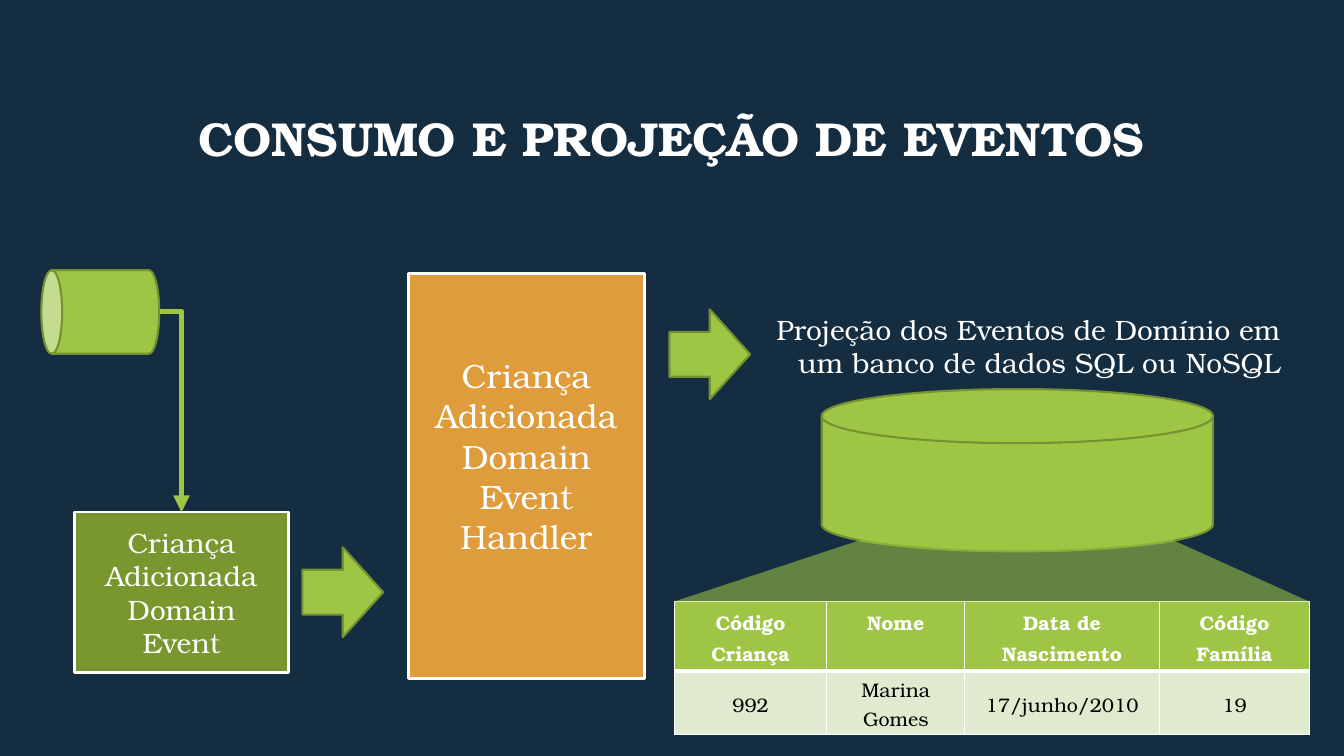
import dataclasses

import pptx
import pptx.dml.color
import pptx.enum.dml
import pptx.enum.shapes
import pptx.enum.text
import pptx.oxml
import pptx.oxml.ns
import pptx.util

PX = 9144
FONT = "TeX Gyre Bonum"
NAVY, WHITE, BLACK = "152D40", "FFFFFF", "000000"
LIME, OLIVE, MOSS, ORANGE, PALE = "9EC544", "759232", "78982F", "DE9C3C", "DFEACF"
SHAPE = pptx.enum.shapes.MSO_SHAPE
ALIGN = pptx.enum.text.PP_ALIGN
ANCHOR = pptx.enum.text.MSO_ANCHOR


@dataclasses.dataclass
class Block:
    kind: int
    left: int
    top: int
    width: int
    height: int
    fill: str = LIME
    line: str = OLIVE
    weight: float = 1.5
    rotation: int = 0
    text: str = ""
    size: int = 20
    bottom_inset: int = 5


@dataclasses.dataclass
class Row:
    cells: tuple[str, ...]
    height: int
    fill: str
    color: str
    bold: bool
    anchor: int
    top_border: int
    bottom_border: int


BLOCKS = (
    Block(SHAPE.RECTANGLE, 74, 508, 212, 159, MOSS, WHITE, 2,
          text="Criança\nAdicionada\vDomain\nEvent"),
    Block(SHAPE.RIGHT_ARROW, 300, 543, 80, 89),
    Block(SHAPE.RIGHT_ARROW, 664, 307, 80, 89),
    Block(SHAPE.CAN, 58, 251, 83, 117, rotation=270),
    Block(SHAPE.RECTANGLE, 405, 271, 234, 402, ORANGE, WHITE, 2,
          text="Criança\vAdicionada\nDomain\vEvent\nHandler", size=24, bottom_inset=45),
    Block(SHAPE.FLOWCHART_MAGNETIC_DISK, 815, 386, 388, 161),
)
COLUMNS = (151, 137, 193, 149)
ROWS = (
    Row(("Código Criança", "Nome", "Data de Nascimento", "Código Família"),
        64, LIME, WHITE, True, ANCHOR.TOP, 1, 3),
    Row(("992", "Marina Gomes", "17/junho/2010", "19"),
        58, PALE, BLACK, False, ANCHOR.MIDDLE, 3, 1),
)


def px(*values: int) -> list[pptx.util.Emu]:
    return [pptx.util.Emu(v * PX) for v in values]


def rgb(color: str) -> pptx.dml.color.RGBColor:
    return pptx.dml.color.RGBColor.from_string(color)


def paint(fill, color: str) -> None:
    fill.solid()
    fill.fore_color.rgb = rgb(color)


def format_text(tf, size: int, color: str = WHITE, bold: bool = False,
                align: int = ALIGN.CENTER, spacing: float = 1.0) -> None:
    for p in tf.paragraphs:
        p.alignment = align
        p.line_spacing = spacing
        for r in p.runs:
            r.font.name = FONT
            r.font.size = pptx.util.Pt(size)
            r.font.bold = bold
            r.font.color.rgb = rgb(color)


def add_title(s) -> None:
    sp = s.shapes.title
    sp.left, sp.top, sp.width, sp.height = px(100, 67, 1132, 145)
    tf = sp.text_frame
    tf.text = "CONSUMO E PROJEÇÃO DE EVENTOS"
    tf.vertical_anchor = ANCHOR.MIDDLE
    format_text(tf, 34, bold=True, spacing=0.9)


def add_block(s, block: Block) -> None:
    sp = s.shapes.add_shape(
        block.kind, *px(block.left, block.top, block.width, block.height))
    sp.shadow.inherit = False
    sp.rotation = block.rotation
    paint(sp.fill, block.fill)
    paint(sp.line.fill, block.line)
    sp.line.width = pptx.util.Pt(block.weight)
    if block.text:
        tf = sp.text_frame
        tf.word_wrap = True
        tf.vertical_anchor = ANCHOR.MIDDLE
        tf.margin_bottom = px(block.bottom_inset)[0]
        tf.text = block.text
        format_text(tf, block.size)


def add_elbow(s) -> None:
    cx = s.shapes.add_connector(
        pptx.enum.shapes.MSO_CONNECTOR.ELBOW, *px(159, 309, 180, 508))
    paint(cx.line.fill, LIME)
    cx.line.width = pptx.util.Pt(4)
    props = cx._element.spPr
    props.find(pptx.oxml.ns.qn("a:prstGeom")).set("prst", "bentConnector2")
    ns = pptx.oxml.ns.nsdecls("a")
    props.find(pptx.oxml.ns.qn("a:ln")).append(
        pptx.oxml.parse_xml(f'<a:tailEnd {ns} type="triangle"/>'))
    props.append(pptx.oxml.parse_xml(f"<a:effectLst {ns}/>"))


def add_border(cell, side: str, weight: int) -> None:
    cell._tc.get_or_add_tcPr().append(pptx.oxml.parse_xml(
        f'<a:{side} {pptx.oxml.ns.nsdecls("a")} w="{pptx.util.Pt(weight)}">'
        f'<a:solidFill><a:srgbClr val="{WHITE}"/></a:solidFill></a:{side}>'))


def add_projection_table(s) -> None:
    frame = s.shapes.add_table(
        len(ROWS), len(COLUMNS),
        *px(669, 597, sum(COLUMNS), sum(row.height for row in ROWS)))
    table = frame.table
    for column, width in zip(table.columns, COLUMNS):
        column.width = px(width)[0]
    for i, row in enumerate(ROWS):
        table.rows[i].height = px(row.height)[0]
        for cell, text in zip(table.rows[i].cells, row.cells):
            cell.text_frame.text = text
            cell.vertical_anchor = row.anchor
            cell.margin_left = cell.margin_right = px(7)[0]
            cell.margin_top = cell.margin_bottom = px(3)[0]
            format_text(cell.text_frame, 14, row.color, row.bold, spacing=1.1)
            for side, weight in (("lnL", 1), ("lnR", 1),
                                 ("lnT", row.top_border), ("lnB", row.bottom_border)):
                add_border(cell, side, weight)
            paint(cell.fill, row.fill)


def add_beam(s) -> None:
    builder = s.shapes.build_freeform(886, 525, scale=PX)
    builder.add_line_segments(((1137, 524), (1299, 597), (668, 597)), close=True)
    sp = builder.convert_to_shape()
    sp.shadow.inherit = False
    sp.line.fill.background()
    paint(sp.fill, LIME)
    color = sp._element.spPr.find(
        f'{pptx.oxml.ns.qn("a:solidFill")}/{pptx.oxml.ns.qn("a:srgbClr")}')
    color.append(pptx.oxml.parse_xml(
        f'<a:alpha {pptx.oxml.ns.nsdecls("a")} val="57000"/>'))


def add_caption(s) -> None:
    tf = s.shapes.add_textbox(*px(734, 305, 546, 77)).text_frame
    tf.word_wrap = False
    tf.auto_size = pptx.enum.text.MSO_AUTO_SIZE.SHAPE_TO_FIT_TEXT
    tf.text = "Projeção dos Eventos de Domínio em\vum banco de dados SQL ou NoSQL"
    format_text(tf, 20, align=ALIGN.RIGHT)


def main() -> None:
    prs = pptx.Presentation()
    prs.slide_width, prs.slide_height = px(1333, 750)
    s = prs.slides.add_slide(prs.slide_layouts[5])
    paint(s.background.fill, NAVY)
    add_title(s)
    *flow, database = BLOCKS
    for block in flow:
        add_block(s, block)
    add_elbow(s)
    add_projection_table(s)
    add_block(s, database)
    add_beam(s)
    add_caption(s)
    prs.save("out.pptx")


if __name__ == "__main__":
    main()
